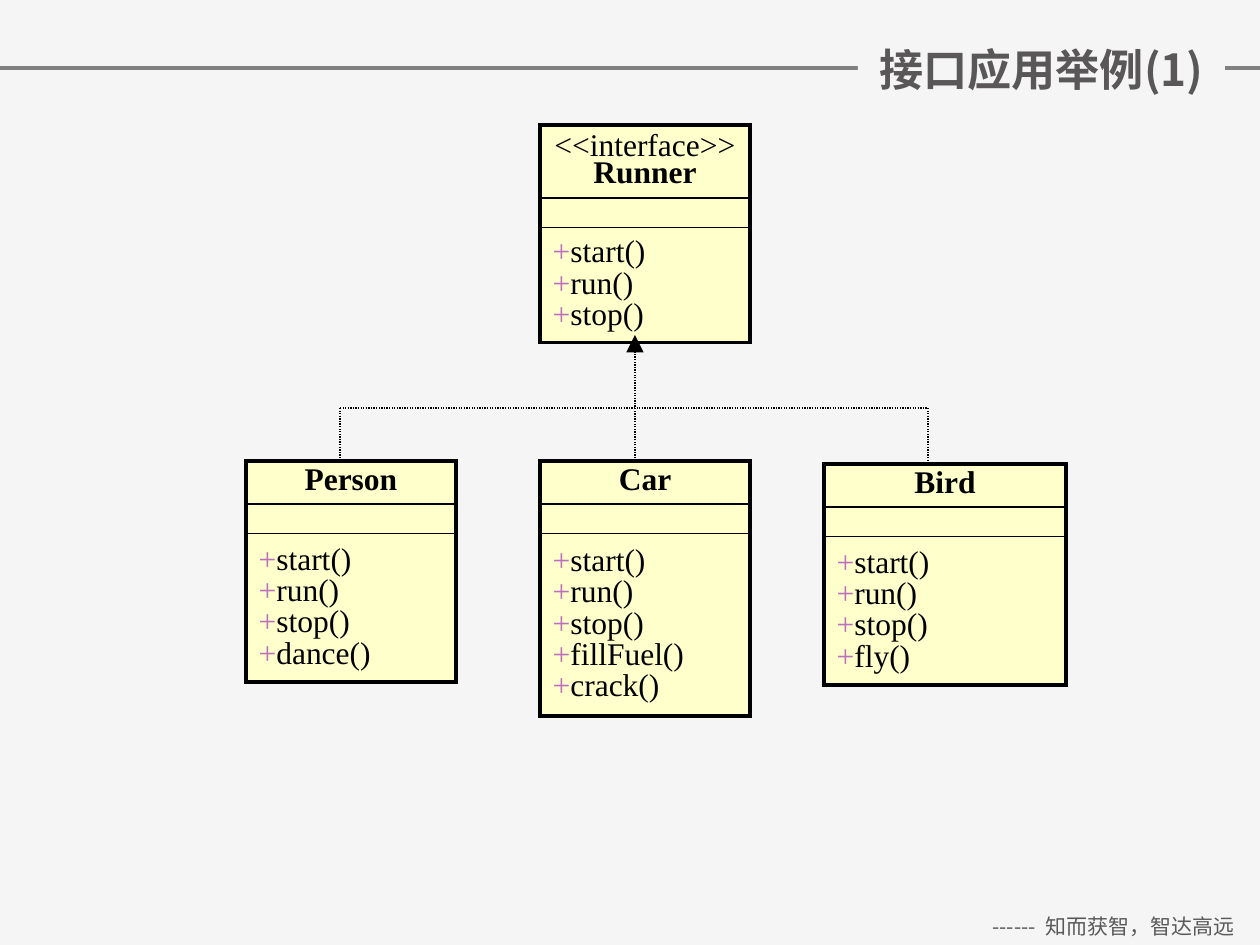
from lxml.etree import SubElement
from pptx import Presentation
from pptx.dml.color import RGBColor
from pptx.enum.dml import MSO_LINE_DASH_STYLE as Dash
from pptx.enum.shapes import MSO_CONNECTOR as Connector
from pptx.enum.text import MSO_ANCHOR as Anchor, PP_ALIGN as Align
from pptx.oxml.ns import qn
from pptx.util import Pt

PX = 914400 // 126
BACKGROUND = RGBColor(0xF5, 0xF5, 0xF5)
RULE_GREY = RGBColor(0x80, 0x80, 0x80)
TITLE_GREY = RGBColor(0x59, 0x57, 0x58)
FOOTER_GREY = RGBColor(0x59, 0x59, 0x59)
BLACK = RGBColor(0x00, 0x00, 0x00)
CLASS_YELLOW = RGBColor(0xFF, 0xFF, 0xCC)
PLUS_PURPLE = RGBColor(0xBD, 0x6F, 0xBF)
CHINESE = "Noto Sans CJK SC"
SERIF = "Times New Roman"


def add_run(paragraph, text, font, size, color, bold=False):
    run = paragraph.add_run()
    run.text = text
    run.font.name = font
    run.font.size = Pt(size)
    run.font.color.rgb = color
    run.font.bold = bold
    SubElement(run.font._element, qn("a:ea"), typeface=font)


def add_line(x1, y1, x2, y2, color, width):
    line = slide.shapes.add_connector(
        Connector.STRAIGHT, x1 * PX, y1 * PX, x2 * PX, y2 * PX)
    line.line.color.rgb = color
    line.line.width = Pt(width)
    SubElement(line._element.spPr, qn("a:effectLst"))
    return line


presentation = Presentation()
presentation.slide_width = 1260 * PX
presentation.slide_height = 945 * PX
slide = presentation.slides.add_slide(presentation.slide_layouts[5])
slide.background.fill.solid()
slide.background.fill.fore_color.rgb = BACKGROUND

title_rule = add_line(0, 68, 1260, 68, RULE_GREY, 2)
slide.shapes._spTree.insert(2, title_rule._element)

title = slide.shapes.title
title.left, title.top, title.width, title.height = 858 * PX, 33 * PX, 367 * PX, 72 * PX
title.fill.solid()
title.fill.fore_color.rgb = BACKGROUND
title.text_frame.vertical_anchor = Anchor.MIDDLE
title.text_frame.word_wrap = False
paragraph = title.text_frame.paragraphs[0]
paragraph.alignment = Align.CENTER
add_run(paragraph, "接口应用举例(1)", CHINESE, 25.2, TITLE_GREY, True)

footer = slide.shapes.add_textbox(967 * PX, 907 * PX, 293 * PX, 38 * PX)
footer.text_frame.word_wrap = True
paragraph = footer.text_frame.paragraphs[0]
paragraph.alignment = Align.CENTER
add_run(paragraph, "------  知而获智，智达高远", CHINESE, 12, FOOTER_GREY)

shared_methods = ["start()", "run()", "stop()"]
classes = [
    (540, 125, 210, ["<<interface>>", "Runner"], []),
    (246, 461, 210, ["Person"], ["dance()"]),
    (540, 461, 210, ["Car"], ["fillFuel()", "crack()"]),
    (824, 464, 242, ["Bird"], ["fly()"]),
]
for left, top, width, names, own_methods in classes:
    methods = shared_methods + own_methods
    heights = [12 + 28 * len(names), 29, 13 + round(31.4 * len(methods))]
    frame = slide.shapes.add_table(
        3, 1, left * PX, top * PX, width * PX, sum(heights) * PX)
    table = frame.table
    table.first_row = False
    table.horz_banding = False

    for index, height in enumerate(heights):
        table.rows[index].height = height * PX
        cell = table.cell(index, 0)
        cell.vertical_anchor = Anchor.MIDDLE
        properties = cell._tc.get_or_add_tcPr()
        borders = {"L": 2.25, "R": 2.25,
                   "T": 2.25 if index == 0 else 1,
                   "B": 2.25 if index == 2 else 1}
        for side, points in borders.items():
            border = SubElement(properties, qn(f"a:ln{side}"), w=str(Pt(points)))
            border_fill = SubElement(border, qn("a:solidFill"))
            SubElement(border_fill, qn("a:srgbClr"), val=str(BLACK))
        cell.fill.solid()
        cell.fill.fore_color.rgb = CLASS_YELLOW

    header = table.cell(0, 0).text_frame
    for index, name in enumerate(names):
        paragraph = header.add_paragraph() if index else header.paragraphs[0]
        paragraph.alignment = Align.CENTER
        paragraph.line_spacing = 0.8
        add_run(paragraph, name, SERIF, 18, BLACK, name == names[-1])

    empty_paragraph = table.cell(1, 0).text_frame.paragraphs[0]
    SubElement(empty_paragraph._p, qn("a:endParaRPr"), sz="800")

    body = table.cell(2, 0).text_frame
    for index, method in enumerate(methods):
        paragraph = body.add_paragraph() if index else body.paragraphs[0]
        paragraph.alignment = Align.JUSTIFY
        paragraph.line_spacing = 0.9
        add_run(paragraph, "+", SERIF, 18, PLUS_PURPLE)
        add_run(paragraph, method, SERIF, 18, BLACK)

branches = [
    (340, 408, 928, 408),
    (340, 408, 340, 461),
    (928, 408, 928, 461),
    (635, 461, 635, 335),
]
for ends in branches:
    branch = add_line(*ends, BLACK, 0.75)
    branch.line.dash_style = Dash.ROUND_DOT
SubElement(branch.line._get_or_add_ln(), qn("a:tailEnd"),
           type="triangle", w="lg", len="lg")

presentation.save("out.pptx")
